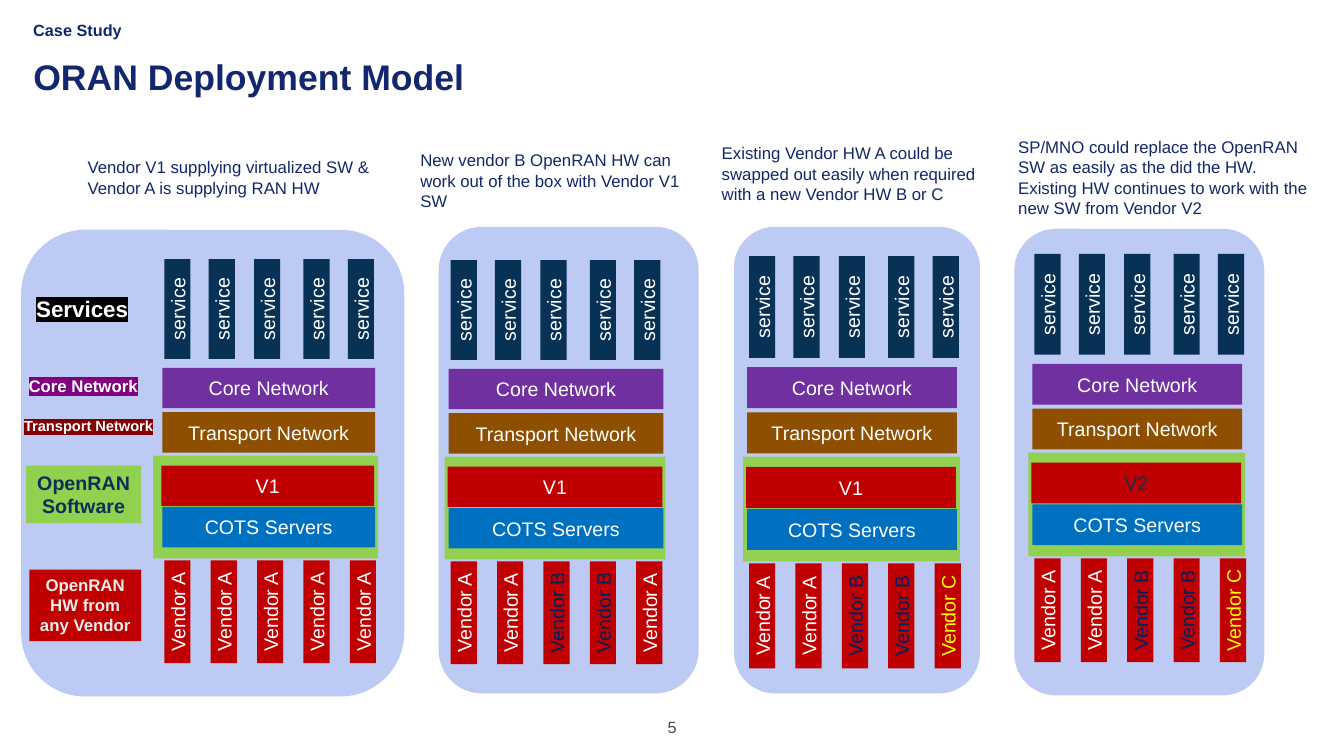
from lxml import etree
from pptx import Presentation
from pptx import util as u
from pptx.dml.color import RGBColor
from pptx.enum import shapes, text
from pptx.oxml.ns import qn

COLORS = {
    "panel": "BDCAF4", "ink": "122769", "title": "12276E", "navy": "083156",
    "red": "C00000", "green": "92D050", "brown": "8E4F00", "purple": "7030A0",
    "blue": "0070C0", "white": "FFFFFF", "pale": "EDEDED", "yellow": "FFFF00",
    "midnight": "002060", "grey": "4B4B4B", "maroon": "800000",
    "violet": "800080", "black": "000000",
}
VENDOR_INK = {"A": "white", "B": "midnight", "C": "yellow"}
SERVICE_OFFSETS = (0, 0.44, 0.89, 1.38, 1.82)
VENDOR_STEP = 0.46
BARS = (
    ("Core Network", 1.08, "purple"),
    ("Transport Network", 1.52, "brown"),
    ("COTS Servers", 2.46, "blue"),
)
PANELS = ((0.21, 2.28, 3.8), (4.35, 2.25, 2.58), (7.28, 2.25, 2.44), (10.06, 2.27, 2.48))
CAPTIONS = (
    ((0.77, 1.51, 3.37, 0.5), "Vendor V1 supplying virtualized SW & Vendor A is supplying RAN HW"),
    ((4.07, 1.44, 3.06, 0.71), "New vendor B OpenRAN HW can work out of the box with Vendor V1 SW"),
    ((7.06, 1.37, 2.98, 0.71),
     "Existing Vendor HW A could be swapped out easily when required with a new Vendor HW B or C"),
    ((10, 1.31, 3.09, 0.91),
     "SP/MNO could replace the OpenRAN SW as easily as the did the HW. "
     "Existing HW continues to work with the new SW from Vendor V2"),
)
STACKS = (
    dict(left=1.61, top=2.57, scale=1, width=2.11, frame=(1.52, 2.23), software="V1", vendors="AAAAA"),
    dict(left=4.45, top=2.58, scale=1, width=2.13, frame=(4.41, 2.19), software="V1", vendors="AABBA"),
    dict(left=7.41, top=2.54, scale=1.02, width=2.08, frame=(7.37, 2.15), software="V1", vendors="AABBC"),
    dict(left=10.24, top=2.52, scale=1.01, width=2.08, frame=(10.2, 2.15), software="V2",
         software_ink="navy", vendors="AABBC"),
)
HIGHLIGHTED = (
    ((0.11, 2.88, 1.41, 0.37), "Services", 16, "black"),
    ((0.12, 3.68, 1.41, 0.3), "Core Network", 12, "violet"),
    ((0.11, 4.09, 1.54, 0.28), "Transport Network", 10.5, "maroon"),
)
FILLED = (
    ((0.26, 4.62, 1.14, 0.57), "OpenRAN Software", 14, "green", "navy"),
    ((0.29, 5.65, 1.11, 0.71), "OpenRAN HW from any Vendor", 12, "red", "pale"),
)
CENTER = text.PP_ALIGN.CENTER
TOP, MIDDLE, BOTTOM = text.MSO_ANCHOR.TOP, text.MSO_ANCHOR.MIDDLE, text.MSO_ANCHOR.BOTTOM
GROW, FIXED = text.MSO_AUTO_SIZE.SHAPE_TO_FIT_TEXT, text.MSO_AUTO_SIZE.NONE
FLUSH = dict.fromkeys(("margin_left", "margin_top", "margin_right", "margin_bottom"), 0)


def apply(target, values):
    """Set every named attribute on the target."""
    for name, value in values.items():
        setattr(target, name, value)


class Deck:
    """Hold the type style and the current slide."""

    font = "Arial"

    def __init__(self, slide):
        """Keep the slide to draw on."""
        self.slide = slide

    def fill_text(self, shape, wording, size, ink="white", bold=False, frame=None, para=None, highlight=None):
        """Put one formatted paragraph into a shape."""
        apply(shape.text_frame, {"word_wrap": True, **(frame or {})})
        paragraph = shape.text_frame.paragraphs[0]
        apply(paragraph, para or {})
        run = paragraph.add_run()
        run.text = wording
        apply(run.font, {"name": self.font, "size": u.Pt(size), "bold": bold})
        run.font.color.rgb = RGBColor.from_string(COLORS[ink])
        if highlight:
            mark = etree.Element(qn("a:highlight"))
            etree.SubElement(mark, qn("a:srgbClr"), val=COLORS[highlight])
            run.font._element.find(qn("a:solidFill")).addnext(mark)

    def title(self, at, wording, size, **style):
        """Place and format the title placeholder."""
        heading = self.slide.shapes.title
        apply(heading, dict(zip(("left", "top", "width", "height"), map(u.Inches, at))))
        self.fill_text(heading, wording, size, **style)

    def label(self, at, wording, size, **style):
        """Add a text box."""
        self.fill_text(self.slide.shapes.add_textbox(*map(u.Inches, at)), wording, size, **style)

    def block(self, at, fill, wording=None, size=14, kind=shapes.MSO_SHAPE.RECTANGLE, **style):
        """Add a filled shape with optional centred text."""
        block = self.slide.shapes.add_shape(kind, *map(u.Inches, at))
        block.shadow.inherit = False
        block.fill.solid()
        block.fill.fore_color.rgb = RGBColor.from_string(COLORS[fill])
        block.line.fill.background()
        if wording:
            style = {"frame": {"vertical_anchor": MIDDLE}, **style}
            self.fill_text(block, wording, size, para={"alignment": CENTER}, **style)
        return block

    def pillar(self, at, fill, wording, ink="white"):
        """Add a narrow block whose text reads upwards."""
        pillar = self.block(at, fill, wording, ink=ink)
        pillar.text_frame._txBody.bodyPr.set("vert", "vert270")

    def stack(self, left, top, scale, width, frame, software, vendors, software_ink="white"):
        """Draw services, network layers, software and vendor hardware."""
        def level(offset):
            return top + offset * scale

        bar_height, pillar_left = 0.4 * scale, left + 0.02
        self.block((frame[0], level(1.95), frame[1], 1.02 * scale), "green")
        for offset in SERVICE_OFFSETS:
            self.pillar((pillar_left + offset, top, 0.26, 0.99 * scale), "navy", "service")
        for wording, offset, fill in BARS:
            self.block((left, level(offset), width, bar_height), fill, wording)
        self.block((left - 0.01, level(2.05), width, bar_height), "red", software, ink=software_ink)
        for index, vendor in enumerate(vendors):
            self.pillar((pillar_left + index * VENDOR_STEP, level(2.99), 0.26, 1.02 * scale),
                        "red", f"Vendor {vendor}", VENDOR_INK[vendor])


def main():
    """Build and save the slide."""
    prs = Presentation()
    apply(prs, {"slide_width": u.Inches(13.33), "slide_height": u.Inches(7.5)})
    deck = Deck(prs.slides.add_slide(prs.slide_layouts[5]))
    deck.title((0.33, 0.59, 12.67, 0.4), "ORAN Deployment Model", 25.4, ink="title", bold=True,
               frame={**FLUSH, "vertical_anchor": TOP, "auto_size": FIXED},
               para={"alignment": text.PP_ALIGN.LEFT, "line_spacing": 0.9})
    deck.label((0.33, 0, 12.66, 0.39), "Case Study", 11.6, ink="ink", bold=True,
               frame={**FLUSH, "vertical_anchor": BOTTOM}, para={"line_spacing": 1.04})
    deck.label((6.19, 7.11, 0.95, 0.2), "5", 11.6, ink="grey",
               frame={**FLUSH, "vertical_anchor": BOTTOM}, para={"alignment": CENTER})
    for left, top, width in PANELS:
        deck.block((left, top, width, 4.63), "panel", kind=shapes.MSO_SHAPE.ROUNDED_RECTANGLE)
    for at, wording in CAPTIONS:
        deck.label(at, wording, 12, ink="ink", frame={"auto_size": GROW})
    for stack in STACKS:
        deck.stack(**stack)
    for at, wording, size, fill, ink in FILLED:
        deck.block(at, fill, wording, size, ink=ink, bold=True,
                   frame={"vertical_anchor": TOP, "auto_size": GROW})
    for at, wording, size, highlight in HIGHLIGHTED:
        deck.label(at, wording, size, bold=True, highlight=highlight,
                   frame={"auto_size": GROW}, para={"alignment": CENTER})
    prs.save("out.pptx")


if __name__ == "__main__":
    main()
